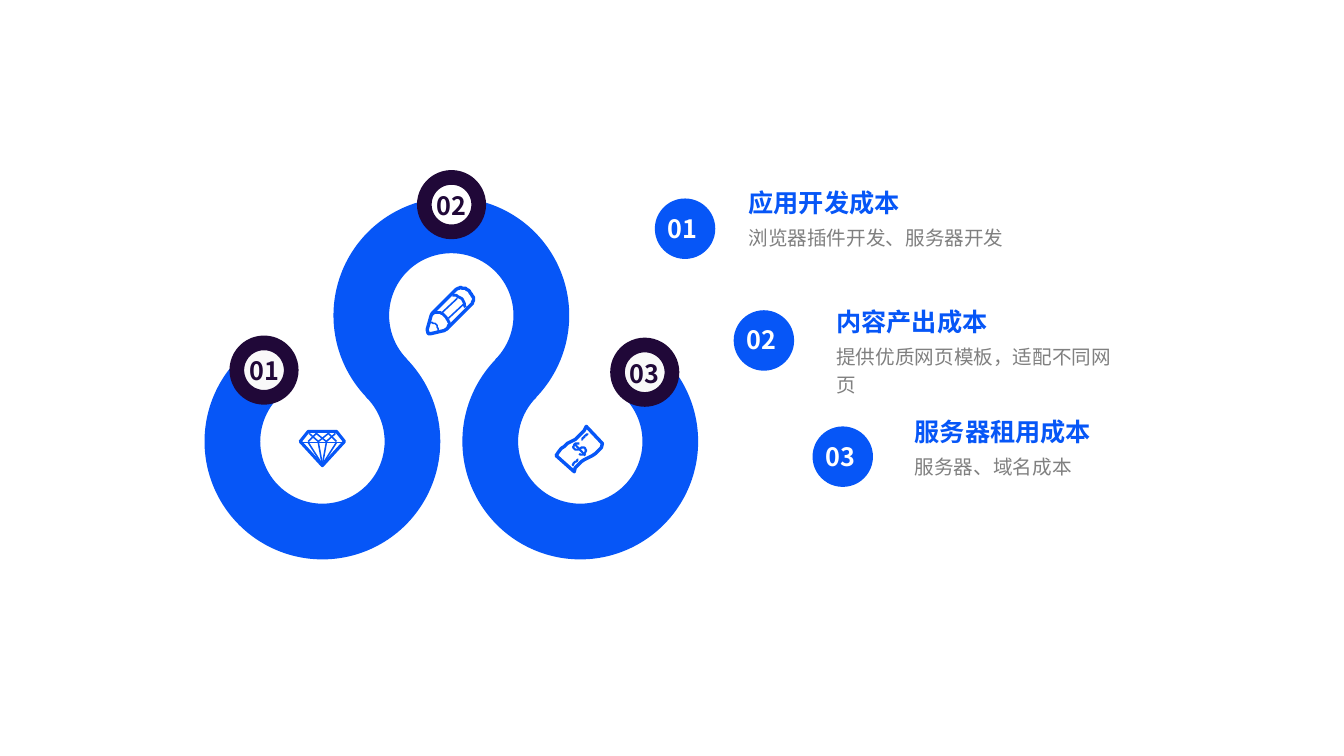
from lxml import etree
from pptx import Presentation, util as u
from pptx.dml.color import RGBColor
from pptx.enum import shapes as s, text as t
from pptx.oxml.ns import qn

BLUE = RGBColor(0x06, 0x56, 0xF7)
PLUM = RGBColor(0x20, 0x08, 0x38)
PALE = RGBColor(0xF9, 0xF9, 0xF9)
WHITE = RGBColor(0xFF, 0xFF, 0xFF)
GRAY = RGBColor(0x80, 0x80, 0x80)


def curve(a, b, c, d, n=10):
    """Points along a cubic curve from a to d."""
    pts = []
    for i in range(n + 1):
        k = i / n
        m = 1 - k
        pts.append(tuple(m**3 * p + 3 * m * m * k * q + 3 * m * k * k * r + k**3 * v
                         for p, q, r, v in zip(a, b, c, d)))
    return pts


class Deck:
    font = "Noto Sans CJK SC"
    unit = u.Pt(0.72)  # icon grid: a hundredth of an inch

    def __init__(self, wide, high):
        self.prs = Presentation()
        self.prs.slide_width, self.prs.slide_height = u.Pt(wide), u.Pt(high)
        self.slide = self.prs.slides.add_slide(self.prs.slide_layouts[6])

    def shape(self, kind, x, y, size, fill, edge=None, width=0):
        form = self.slide.shapes.add_shape(kind, *map(u.Pt, (x, y, size, size)))
        form.shadow.inherit = False
        form.fill.solid()
        form.fill.fore_color.rgb = fill
        if edge is None:
            form.line.fill.background()
        else:
            form.line.color.rgb = edge
            form.line.width = u.Pt(width)
        return form

    def arc(self, x, y, size, start, end, band):
        form = self.shape(s.MSO_SHAPE.BLOCK_ARC, x, y, size, BLUE)
        for i, val in enumerate((start * 0.6, end * 0.6, band / size)):
            form.adjustments[i] = val

    def text(self, x, y, wide, high, words, size, color, bold=False,
             align=t.PP_ALIGN.LEFT, anchor=t.MSO_ANCHOR.TOP, space=1.0):
        box = self.slide.shapes.add_textbox(*map(u.Pt, (x, y, wide, high)))
        frame = box.text_frame
        para = frame.paragraphs[0]
        run = para.add_run()
        run.text = words
        run.font.color.rgb = color
        look = {
            frame: {"word_wrap": True, "vertical_anchor": anchor},
            para: {"alignment": align, "line_spacing": space},
            run.font: {"name": self.font, "size": u.Pt(size), "bold": bold},
        }
        for part, vals in look.items():
            for key, val in vals.items():
                setattr(part, key, val)
        face = etree.SubElement(run.font._element, qn("a:ea"))
        face.set("typeface", self.font)

    def icon(self, width, lines, close=False):
        pen = None
        for pts in lines:
            if pen is None:
                pen = self.slide.shapes.build_freeform(*pts[0], scale=self.unit)
            else:
                pen.move_to(*pts[0])
            pen.add_line_segments(pts[1:], close=close)
        form = pen.convert_to_shape()
        form.shadow.inherit = False
        form.fill.background()
        form.line.color.rgb = BLUE
        form.line.width = u.Pt(width)

    def save(self):
        self.prs.save("out.pptx")


deck = Deck(960.48, 540)

# Winding path
SIZE, BAND, STEP = 168.5, 39.8, 92.15
for i, (top, start, end) in enumerate([(231.1, 315, 225), (141.1, 135, 45), (231.1, 315, 225)]):
    deck.arc(146.2 + i * STEP, top, SIZE, start, end, BAND)

# Numbered stops on the path
DOT = 38.9
for num, cx, cy, fill in [("01", 188.7, 264.4, PALE), ("02", 322.7, 146.2, WHITE),
                          ("03", 460.8, 265.9, PALE)]:
    deck.shape(s.MSO_SHAPE.OVAL, cx - DOT / 2, cy - DOT / 2, DOT, fill, PLUM, 10.5)
    deck.text(cx - 23.7, cy - 13.8, 47.5, 28.8, num, 18, PLUM, True, t.PP_ALIGN.CENTER)

# Pencil icon
deck.icon(2.4, [
    [(424, 327), (427.5, 313), (429, 311)]
    + curve((452, 288), (456, 284), (461, 285), (466, 289))
    + curve((466, 289), (471, 294), (471, 300), (467, 303))
    + [(444, 326), (441, 328), (428, 331), (425, 331)]], close=True)
deck.icon(2, [
    curve((449, 293), (455, 292), (462, 298), (461.5, 305)),
    curve((429, 312), (433, 308), (438, 309), (442, 314))
    + curve((442, 314), (446, 318), (447, 323), (443, 327))])
deck.icon(1.1, [
    [(439, 309.5), (453.5, 295.5)], [(445, 315.5), (459.5, 301.5)],
    curve((426, 320), (431, 319), (436, 324), (435, 329))])

# Diamond icon
deck.icon(2.2, [[(306, 428.5), (334, 428.5), (342.5, 438), (320, 462.5), (297.5, 438)]], close=True)
deck.icon(1.1, [[(x, 439), (320, 461)] for x in (306, 315.5, 324.5, 334)] + [
    [(298, 439), (342, 439)],
    [(306, 438.5), (314.5, 429.5), (324.5, 438.5), (333, 430)],
    [(307, 430), (315.5, 438.5), (325.5, 429.5), (334, 438.5)]])

# Banknote icon
deck.icon(2.4, [
    curve((552.5, 452.5), (557, 438), (577, 438), (581.5, 423))
    + curve((598.5, 440), (594, 454.5), (574, 453.5), (569.5, 468.5))], close=True)
deck.icon(1.5, [
    curve((575, 440), (571, 438), (567, 443), (571, 446))
    + curve((571, 446), (574, 448), (577, 441), (581, 445))
    + curve((581, 445), (583, 449), (579, 453), (575, 450)),
    [(570.5, 440.5), (581, 451.5)],
    curve((568.5, 461.5), (569, 459), (573, 457), (574.5, 455.5)),
    curve((577, 436.5), (579, 434), (582, 432), (583, 430))])

# Cost list
COSTS = [
    ("应用开发成本", "浏览器插件开发、服务器开发", 141.8, 527.8, 130.3),
    ("内容产出成本", "提供优质网页模板，适配不同网页", 221.6, 590.6, 215.6),
    ("服务器租用成本", "服务器、域名成本", 304.6, 646.6, 294.1),
]
for i, (head, body, top, left, high) in enumerate(COSTS):
    x = 468 + i * 56.35
    deck.shape(s.MSO_SHAPE.OVAL, x, top, 43.2, BLUE)
    deck.text(x + 2.2, top + 7.2, 41, 28, f"{i + 1:02}", 18, WHITE, True,
              anchor=t.MSO_ANCHOR.MIDDLE)
    deck.text(left, high, 220, 28.8, head, 18, BLUE, True)
    deck.text(left, high + 24, 221, 26, body, 14, GRAY, space=1.2)

deck.save()
